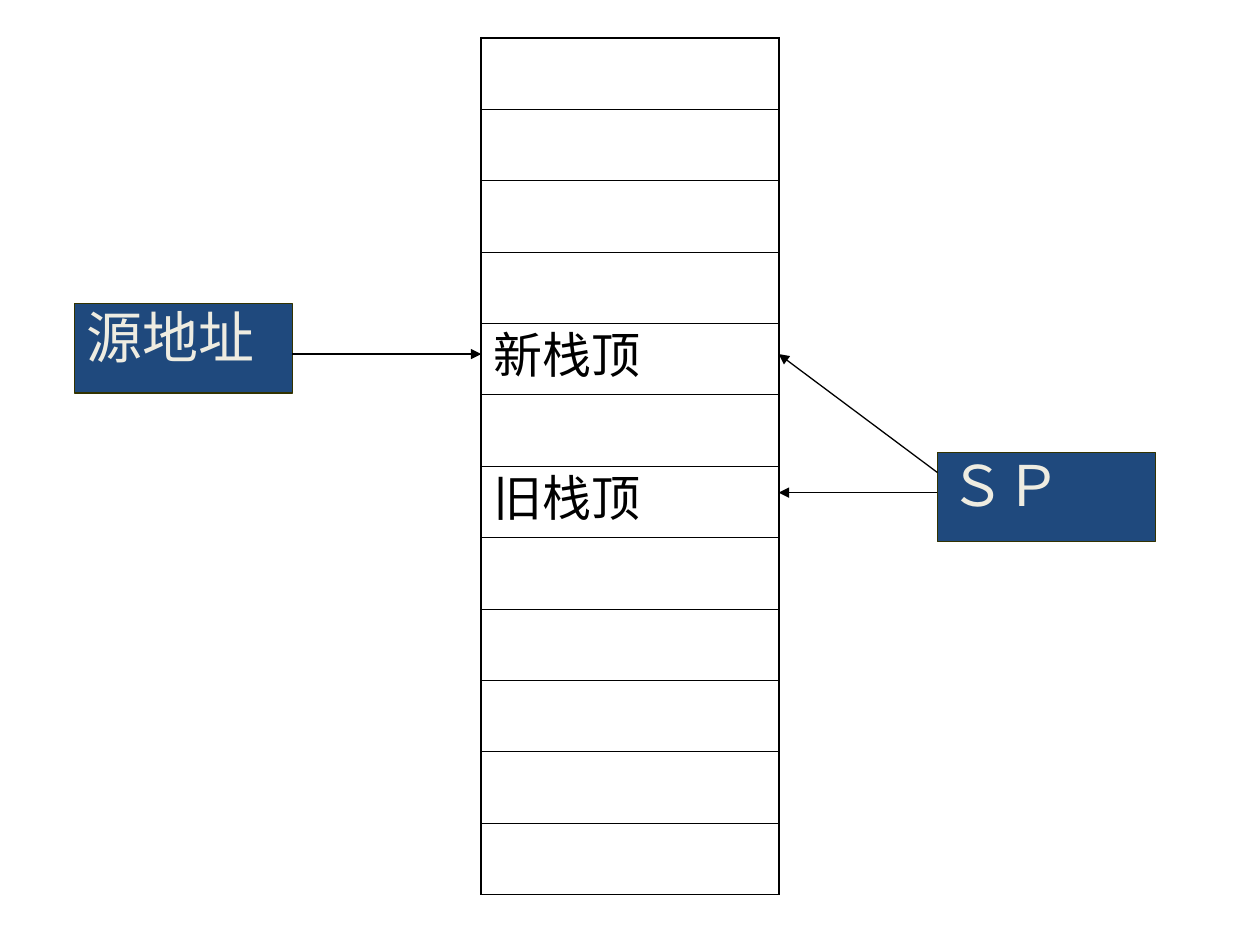
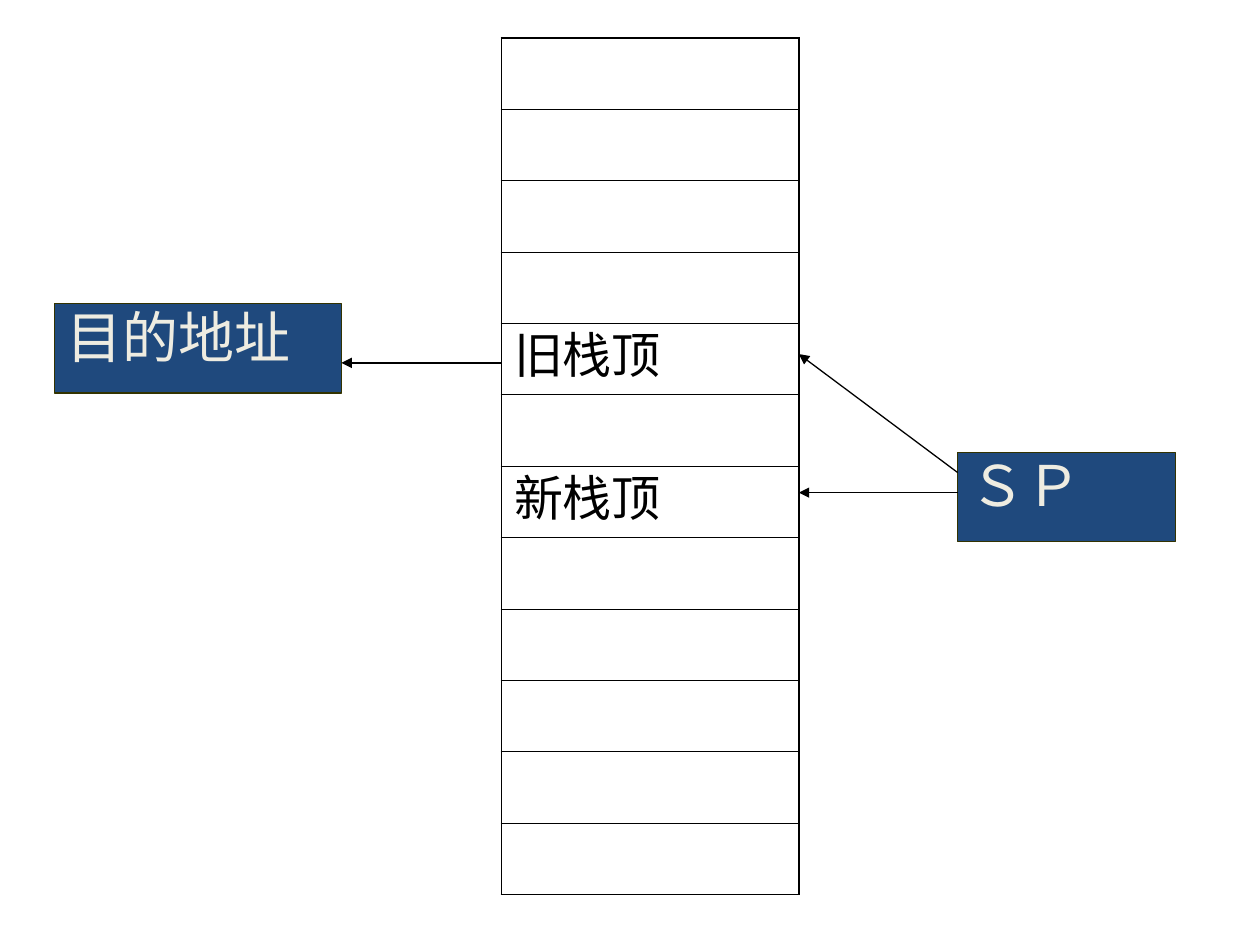
from dataclasses import dataclass

from lxml.etree import SubElement as Sub
from pptx import Presentation
from pptx.dml.color import RGBColor as Rgb
from pptx.enum.shapes import MSO_CONNECTOR as Line, MSO_SHAPE as Shape
from pptx.enum.text import MSO_ANCHOR as Anchor, PP_ALIGN as Align
from pptx.oxml.ns import qn
from pptx.util import Inches, Pt


@dataclass(frozen=True)
class Theme:
    font: str = "Arial"
    ink: str = "000000"
    navy: str = "1F497D"
    edge: str = "333300"
    cream: str = "EEECE1"
    label: float = 32
    cell: float = 28
    thin: float = 0.45
    rule: float = 0.75
    thick: float = 1.08


THEME = Theme()
ROWS = 12
STACK_W, STACK_H = 2.36, 6.8
BOX_H = 0.71
PAD = {"margin_left": 0.1, "margin_right": 0.1,
       "margin_top": 0.05, "margin_bottom": 0.05}

# What differs between the slides: "into" tells whether data enters the stack
PUSH = {"left": 3.82, "cells": {4: "新栈顶", 6: "旧栈顶"},
        "name": "源地址", "box": (0.59, 1.73), "flow": 2.81, "into": True}
POP = {"left": 3.98, "cells": {4: "旧栈顶", 6: "新栈顶"},
       "name": "目的地址", "box": (0.43, 2.28), "flow": 2.88, "into": False}


def style(item, form):
    for key, value in form.items():
        setattr(item, key, value)


def write(frame, text, size, color, form):
    """Put one styled paragraph into a text frame."""
    para = frame.paragraphs[0]
    style(para, {"alignment": Align.LEFT, **form})
    run = para.add_run()
    run.text = text
    style(run.font, {"size": Pt(size), "name": THEME.font, "bold": False})
    run.font.color.rgb = Rgb.from_string(color)
    Sub(run.font._element, qn("a:ea"), typeface=THEME.font)


def border(cell, sides):
    """Draw the cell's edges; sides maps an edge tag to its width."""
    props = cell._tc.get_or_add_tcPr()
    for side, width in sides.items():
        line = Sub(props, qn(f"a:{side}"), w=str(Pt(width)))
        fill = Sub(line, qn("a:solidFill"))
        Sub(fill, qn("a:srgbClr"), val=THEME.ink)


def add_stack(slide, left, top, cells):
    """The memory column, one cell to a row."""
    place = [Inches(n) for n in (left, top, STACK_W, STACK_H)]
    table = slide.shapes.add_table(ROWS, 1, *place).table
    style(table, {"first_row": False, "horz_banding": False})
    for i in range(ROWS):
        table.rows[i].height = Inches(STACK_H / ROWS)
        cell = table.cell(i, 0)
        border(cell, {"lnL": THEME.thick, "lnR": THEME.thick,
                      "lnT": THEME.thin if i else THEME.thick,
                      "lnB": THEME.thin if i < ROWS - 1 else THEME.thick})
        cell.fill.background()
        style(cell, {key: Inches(n) for key, n in PAD.items()})
        if i in cells:
            write(cell.text_frame, cells[i], THEME.cell, THEME.ink,
                  {"space_before": Pt(7)})


def add_box(slide, left, top, width, text):
    """A filled label box."""
    place = [Inches(n) for n in (left, top, width, BOX_H)]
    box = slide.shapes.add_shape(Shape.RECTANGLE, *place)
    box.shadow.inherit = False
    box.fill.solid()
    box.fill.fore_color.rgb = Rgb.from_string(THEME.navy)
    box.line.color.rgb = Rgb.from_string(THEME.edge)
    box.line.width = Pt(THEME.rule)
    frame = box.text_frame
    style(frame, {"word_wrap": True, "vertical_anchor": Anchor.TOP,
                  **{key: Inches(n) for key, n in PAD.items()}})
    write(frame, text, THEME.label, THEME.cream, {"line_spacing": 0.9})


def add_arrow(slide, start, end):
    """A thin line with its head at the end."""
    ends = [Inches(n) for n in (*start, *end)]
    arrow = slide.shapes.add_connector(Line.STRAIGHT, *ends)
    arrow.line.color.rgb = Rgb.from_string(THEME.ink)
    arrow.line.width = Pt(THEME.rule)
    Sub(arrow.line._get_or_add_ln(), qn("a:tailEnd"), type="triangle")
    Sub(arrow._element.spPr, qn("a:effectLst"))


def add_pointer(slide, left, top, edge):
    """The SP box and its arrows to the two stack tops."""
    add_box(slide, left, top, 1.73, "ＳＰ")
    for start, end in ((0.32, 0.32), (0.16, -0.78)):
        add_arrow(slide, (left, top + start), (edge, top + end))


def add_scene(deck, left, cells, name, box, flow, into):
    """One stack slide: address, stack, pointer and data flow."""
    slide = deck.slides.add_slide(deck.slide_layouts[6])
    side, width = box
    edge = left + STACK_W
    add_box(slide, side, 2.41, width, name)
    add_stack(slide, left, 0.3, cells)
    add_pointer(slide, edge + 1.26, 3.59, edge)
    ends = [(side + width, flow), (left, flow)]
    add_arrow(slide, *(ends if into else reversed(ends)))


def main():
    deck = Presentation()
    style(deck, {"slide_width": Inches(10), "slide_height": Inches(7.5)})
    for scene in (PUSH, POP):
        add_scene(deck, **scene)
    deck.save("out.pptx")


if __name__ == "__main__":
    main()
